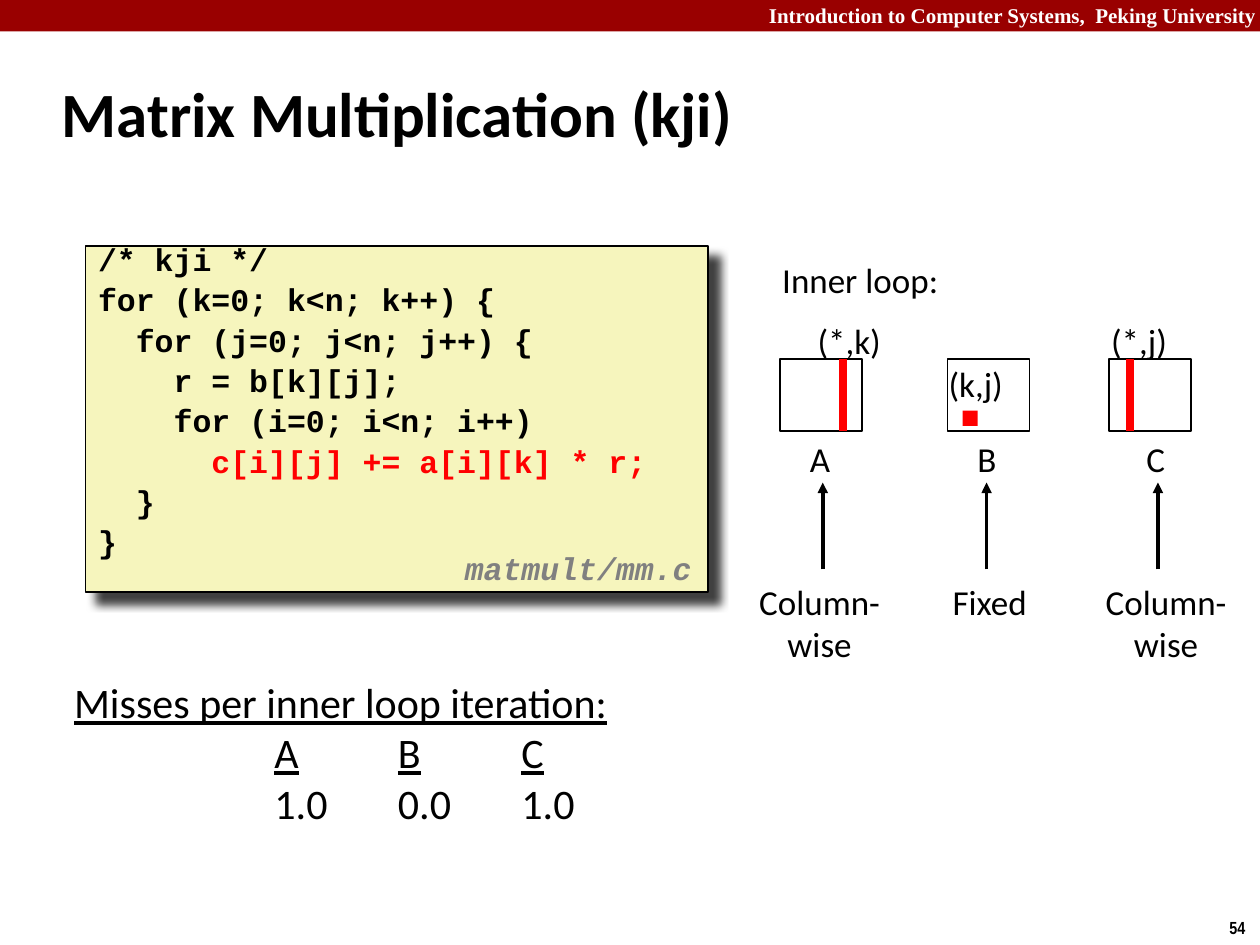
from lxml.etree import SubElement
from pptx import Presentation
from pptx.dml.color import RGBColor
from pptx.enum.shapes import MSO_CONNECTOR, MSO_SHAPE
from pptx.enum.text import MSO_ANCHOR, PP_ALIGN
from pptx.oxml.ns import qn
from pptx.util import Inches, Pt

BLACK, WHITE, RED, GREY = "000000", "FFFFFF", "FF0000", "808080"
BANNER, CODE_FILL = "990000", "F6F5BD"

TITLE = "Matrix Multiplication (kji)"
CODE = [
    ("/* kji */", BLACK),
    ("for (k=0; k<n; k++) {", BLACK),
    ("  for (j=0; j<n; j++) {", BLACK),
    ("    r = b[k][j];", BLACK),
    ("    for (i=0; i<n; i++)", BLACK),
    ("      c[i][j] += a[i][k] * r;", RED),
    ("  }", BLACK),
    ("}", BLACK),
]
MATRICES = [
    {"name": "A", "left": 6.19, "name_left": 6.33, "index": "(*,k)", "index_at": (6.39, 2.49),
     "bar": 6.69, "arrow": 6.53, "access": ["Column-", "wise"], "access_left": 5.92},
    {"name": "B", "left": 7.52, "name_left": 7.66, "index": "(k,j)", "index_at": (7.43, 2.83),
     "bar": None, "arrow": 7.83, "access": ["Fixed"], "access_left": 7.27},
    {"name": "C", "left": 8.8, "name_left": 9, "index": "(*,j)", "index_at": (8.72, 2.49),
     "bar": 8.97, "arrow": 9.19, "access": ["Column-", "wise"], "access_left": 8.67},
]
MISSES_HEADING = "Misses per inner loop iteration:"
MISSES = ["1.0", "0.0", "1.0"]
MATRIX_TOP, MATRIX_WIDTH, MATRIX_HEIGHT = 2.85, 0.65, 0.57
FIRST_TAB, TAB_STEP = 1.59, 0.98


def color(value):
    """Turn a hex string into a colour."""
    return RGBColor.from_string(value)


def add_run(paragraph, text, size=20, font="Calibri", fill=BLACK, bold=False, italic=False,
            underline=False):
    """Append one formatted run to a paragraph."""
    run = paragraph.add_run()
    run.text = text
    run.font.size, run.font.name = Pt(size), font
    run.font.bold, run.font.italic, run.font.underline = bold, italic, underline
    run.font.color.rgb = color(fill)


def add_text(slide, lines, left, top, width, height, align=PP_ALIGN.LEFT, wrap=False, spacing=1,
             **format):
    """Add a text box with one paragraph for each line."""
    frame = slide.shapes.add_textbox(*map(Inches, (left, top, width, height))).text_frame
    frame.word_wrap = wrap
    for number, line in enumerate(lines):
        paragraph = frame.add_paragraph() if number else frame.paragraphs[0]
        paragraph.alignment = align
        paragraph.line_spacing = spacing
        add_run(paragraph, line, **format)
    return frame


def add_box(slide, left, top, width, height, fill, line=None):
    """Add a rectangle, outlined if a line colour is given."""
    shape = slide.shapes.add_shape(MSO_SHAPE.RECTANGLE, *map(Inches, (left, top, width, height)))
    shape.shadow.inherit = False
    shape.fill.solid()
    shape.fill.fore_color.rgb = color(fill)
    if line:
        shape.line.color.rgb = color(line)
        shape.line.width = Pt(1)
    else:
        shape.line.fill.background()
    return shape


def add_line(slide, x, start, end, fill, weight, arrow=False):
    """Add a vertical line, with an arrowhead at its end if asked."""
    line = slide.shapes.add_connector(
        MSO_CONNECTOR.STRAIGHT, *map(Inches, (x, start, x, end)))
    line.line.color.rgb = color(fill)
    line.line.width = Pt(weight)
    properties = line._element.spPr
    if arrow:
        SubElement(properties.find(qn("a:ln")), qn("a:tailEnd"), type="triangle")
    SubElement(properties, qn("a:effectLst"))


def add_shadow(shape):
    """Give a shape a soft shadow to the lower right."""
    effects = shape._element.spPr.find(qn("a:effectLst"))
    shadow = SubElement(effects, qn("a:outerShdw"), blurRad=str(Pt(5)), dist=str(Pt(8.5)),
                        dir="2700000", algn="tl", rotWithShape="0")
    black = SubElement(shadow, qn("a:srgbClr"), val=BLACK)
    SubElement(black, qn("a:alpha"), val="75000")


def add_header(slide):
    """Add the banner, the slide number and the title."""
    add_box(slide, 0, 0, 10, 0.25, BANNER)
    add_text(slide, ["Introduction to Computer Systems,  Peking University"], 6, -0.03, 4.07, 0.3,
             align=PP_ALIGN.RIGHT, wrap=True, size=12, font="Times New Roman", fill=WHITE,
             bold=True)
    add_text(slide, ["54"], 9.66, 7.23, 0.34, 0.27, size=10, font="Arial Narrow", bold=True)
    title = slide.shapes.title
    title.left, title.top, title.width, title.height = map(Inches, (0.39, 0.48, 8.3, 0.83))
    title.text_frame.vertical_anchor = MSO_ANCHOR.MIDDLE
    paragraph = title.text_frame.paragraphs[0]
    paragraph.alignment = PP_ALIGN.LEFT
    add_run(paragraph, TITLE, size=36, bold=True)


def add_code(slide):
    """Add the code panel and its file name."""
    panel = add_box(slide, 0.68, 1.95, 4.94, 2.75, CODE_FILL, BLACK)
    add_shadow(panel)
    frame = panel.text_frame
    frame.vertical_anchor = MSO_ANCHOR.TOP
    for number, (line, fill) in enumerate(CODE):
        paragraph = frame.add_paragraph() if number else frame.paragraphs[0]
        paragraph.alignment = PP_ALIGN.LEFT
        paragraph.line_spacing = 0.65
        paragraph.space_before = Pt(9 if number else 0)
        add_run(paragraph, line, size=18, font="Courier New", fill=fill, bold=True)
    add_text(slide, ["matmult/mm.c"], 3.59, 4.33, 2.08, 0.39, spacing=0.94, size=18,
             font="Courier New", fill=GREY, bold=True, italic=True)


def add_matrices(slide):
    """Draw the access pattern of each matrix."""
    add_text(slide, ["Inner loop:"], 6.11, 2, 1.45, 0.43)
    bottom = MATRIX_TOP + MATRIX_HEIGHT
    for matrix in MATRICES:
        add_box(slide, matrix["left"], MATRIX_TOP, MATRIX_WIDTH, MATRIX_HEIGHT, WHITE, BLACK)
        if matrix["bar"]:
            add_line(slide, matrix["bar"], bottom, MATRIX_TOP, RED, 4.5)
        else:
            add_box(slide, matrix["left"] + 0.12, 3.26, 0.12, 0.12, RED)
        add_text(slide, [matrix["index"]], *matrix["index_at"], 0.8, 0.43)
        add_text(slide, [matrix["name"]], matrix["name_left"], bottom, 0.4, 0.43)
        add_line(slide, matrix["arrow"], 4.52, 3.83, BLACK, 2, arrow=True)
        add_text(slide, matrix["access"], matrix["access_left"], 4.56, 1.17, 0.77,
                 align=PP_ALIGN.CENTER)


def add_misses(slide):
    """Add the miss rates in tabbed columns."""
    frame = add_text(slide, [MISSES_HEADING], 0.49, 5.32, 5.43, 1.34, wrap=True, size=24,
                     underline=True)
    names = [matrix["name"] for matrix in MATRICES]
    for cells, underline in ((names, True), (MISSES, False)):
        paragraph = frame.add_paragraph()
        tabs = SubElement(paragraph._p.get_or_add_pPr(), qn("a:tabLst"))
        for column, cell in enumerate(cells):
            position = Inches(FIRST_TAB + column * TAB_STEP)
            SubElement(tabs, qn("a:tab"), pos=str(position), algn="l")
            add_run(paragraph, "\t", size=24)
            add_run(paragraph, cell, size=24, underline=underline)


def main():
    """Build and save the slide."""
    presentation = Presentation()
    presentation.slide_width, presentation.slide_height = Inches(10), Inches(7.5)
    slide = presentation.slides.add_slide(presentation.slide_layouts[5])
    add_header(slide)
    add_code(slide)
    add_matrices(slide)
    add_misses(slide)
    presentation.save("out.pptx")


if __name__ == "__main__":
    main()
